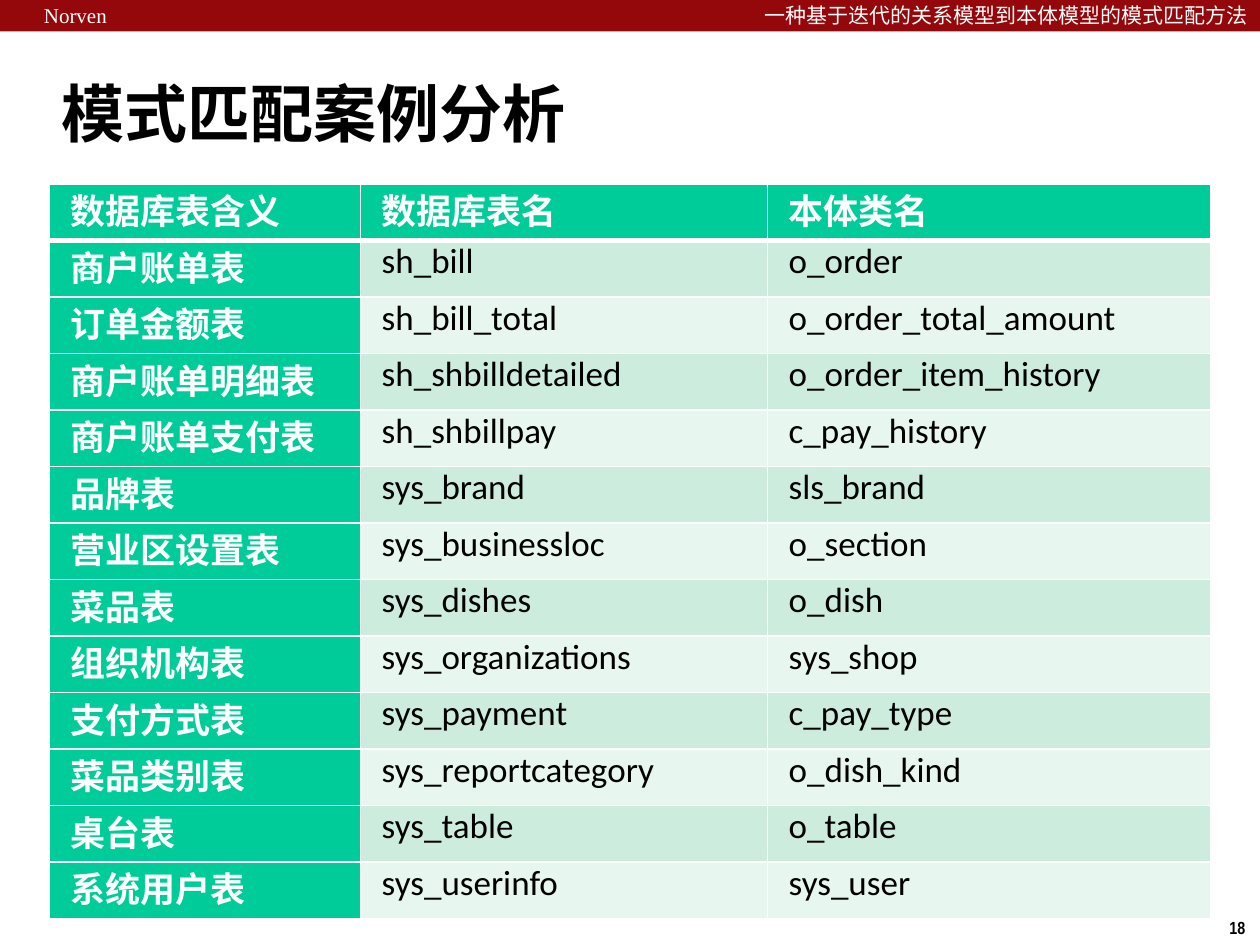
"""Build the schema matching case slide with its table of database and ontology names."""
from lxml import etree
from pptx import Presentation
from pptx.dml.color import RGBColor
from pptx.enum import shapes, text
from pptx.oxml.ns import qn
from pptx.util import Inches, Pt

WHITE = RGBColor(0xFF, 0xFF, 0xFF)
BLACK = RGBColor(0x00, 0x00, 0x00)
RED = RGBColor(0x94, 0x07, 0x0A)
GREEN = RGBColor(0x00, 0xCC, 0x99)
BANDS = [RGBColor(0xE7, 0xF6, 0xEF), RGBColor(0xCC, 0xEC, 0xDE)]

ROWS = [
    ("数据库表含义", "数据库表名", "本体类名"),
    ("商户账单表", "sh_bill", "o_order"),
    ("订单金额表", "sh_bill_total", "o_order_total_amount"),
    ("商户账单明细表", "sh_shbilldetailed", "o_order_item_history"),
    ("商户账单支付表", "sh_shbillpay", "c_pay_history"),
    ("品牌表", "sys_brand", "sls_brand"),
    ("营业区设置表", "sys_businessloc", "o_section"),
    ("菜品表", "sys_dishes", "o_dish"),
    ("组织机构表", "sys_organizations", "sys_shop"),
    ("支付方式表", "sys_payment", "c_pay_type"),
    ("菜品类别表", "sys_reportcategory", "o_dish_kind"),
    ("桌台表", "sys_table", "o_table"),
    ("系统用户表", "sys_userinfo", "sys_user"),
]
COL_WIDTHS = [2.47, 3.23, 3.52]
TABLE_HEIGHT = 5.83


def set_font(p, name, size, color, bold=False):
    p.font.name, p.font.size, p.font.bold = name, Pt(size), bold
    p.font.color.rgb = color


def add_border(cell, side, width):
    ln = etree.SubElement(cell._tc.get_or_add_tcPr(), qn(f"a:ln{side}"), w=str(Pt(width)))
    fill = etree.SubElement(ln, qn("a:solidFill"))
    etree.SubElement(fill, qn("a:srgbClr"), val=str(WHITE))


prs = Presentation()
prs.slide_width, prs.slide_height = Inches(10), Inches(7.5)
s = prs.slides.add_slide(prs.slide_layouts[5])

bar = s.shapes.add_shape(shapes.MSO_SHAPE.RECTANGLE, 0, 0, Inches(10), Inches(0.25))
bar.shadow.inherit = False
bar.fill.solid()
bar.fill.fore_color.rgb = RED
bar.line.fill.background()

LABELS = [
    ("Norven University", 0.25, -0.03, 1.42, 0.3, "Times New Roman", 12, WHITE, False, text.PP_ALIGN.LEFT),
    ("18", 9.66, 7.23, 0.34, 0.27, "Arial Narrow", 10, BLACK, True, text.PP_ALIGN.LEFT),
    ("一种基于迭代的关系模型到本体模型的模式匹配方法", 5.82, -0.03, 4.18, 0.3,
     "Times New Roman", 12, WHITE, False, text.PP_ALIGN.RIGHT),
]
for label, x, y, w, h, font, size, color, bold, align in LABELS:
    tf = s.shapes.add_textbox(Inches(x), Inches(y), Inches(w), Inches(h)).text_frame
    tf.word_wrap = False
    p = tf.paragraphs[0]
    p.text, p.alignment = label, align
    set_font(p, font, size, color, bold)

title = s.shapes.title
title.left, title.top, title.width, title.height = Inches(0.39), Inches(0.48), Inches(8.3), Inches(0.83)
tf = title.text_frame
tf.auto_size = text.MSO_AUTO_SIZE.NONE
tf.vertical_anchor = text.MSO_ANCHOR.MIDDLE
p = tf.paragraphs[0]
p.text, p.alignment = "模式匹配案例分析", text.PP_ALIGN.LEFT
set_font(p, "Calibri", 36, BLACK, True)

table = s.shapes.add_table(len(ROWS), len(COL_WIDTHS), Inches(0.39), Inches(1.46),
                           Inches(sum(COL_WIDTHS)), Inches(TABLE_HEIGHT)).table
for column, width in zip(table.columns, COL_WIDTHS):
    column.width = Inches(width)
for i, values in enumerate(ROWS):
    table.rows[i].height = Inches(TABLE_HEIGHT / len(ROWS))
    for j, value in enumerate(values):
        cell = table.cell(i, j)
        heading = i == 0 or j == 0
        cell.margin_left = cell.margin_right = Inches(0.17)
        cell.margin_top = cell.margin_bottom = 0
        for side in "LRTB":
            add_border(cell, side, 3 if (i, side) in [(0, "B"), (1, "T")] else 1)
        cell.fill.solid()
        cell.fill.fore_color.rgb = GREEN if heading else BANDS[i % 2]
        p = cell.text_frame.paragraphs[0]
        p.text = value
        set_font(p, "Calibri", 20, WHITE if heading else BLACK, heading)

prs.save("out.pptx")
